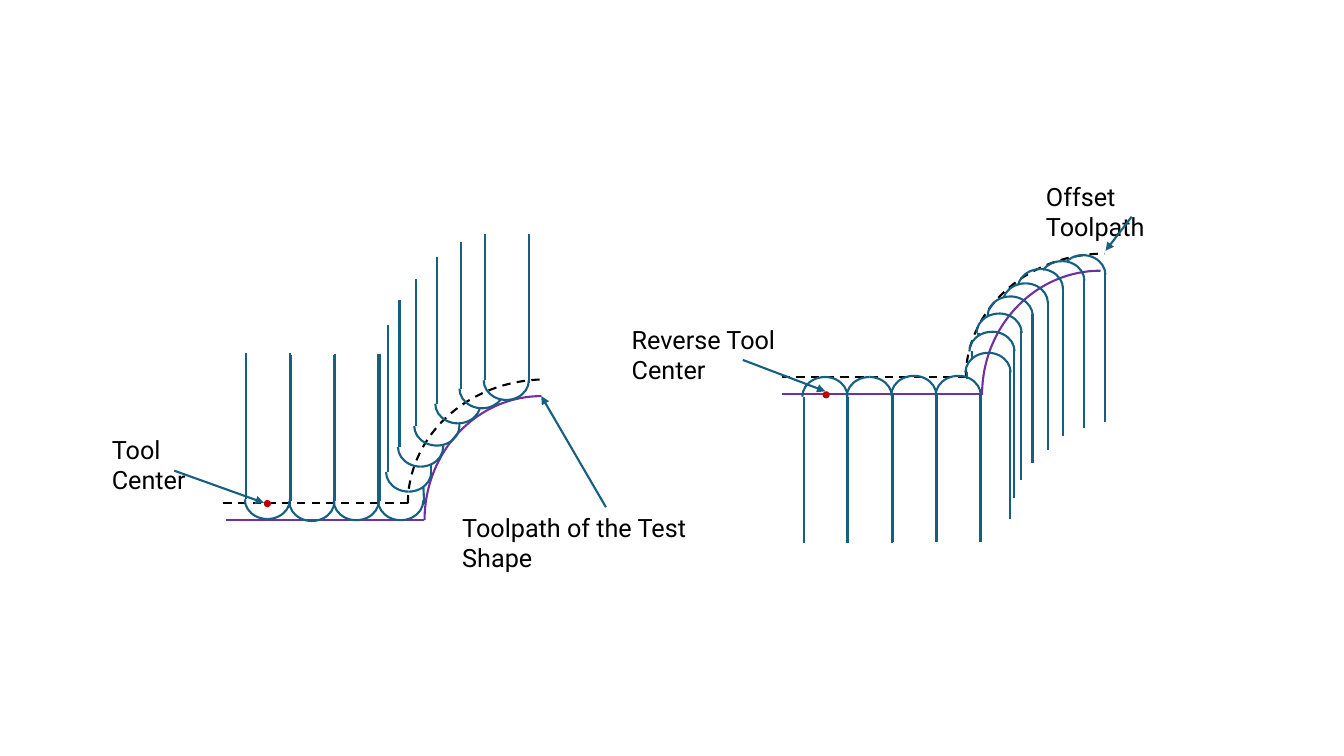
from lxml.etree import SubElement
from pptx import Presentation
from pptx.dml.color import RGBColor
from pptx.enum.dml import MSO_LINE
from pptx.enum.shapes import MSO_CONNECTOR, MSO_SHAPE
from pptx.enum.text import MSO_AUTO_SIZE
from pptx.oxml.ns import qn
from pptx.util import Cm, Pt

BLACK, PURPLE, TEAL, RED = "000000", "7030A0", "156082", "C00000"
TIP_WIDTH, TIP_HEIGHT = 1.14, 0.99
PITCH = 1.12  # spacing of cutters along the flat


def color(value):
    return RGBColor.from_string(value)


class Diagram:
    """Holds the line and text style, the slide and the group being drawn."""

    font_name, font_size, line_width = "Roboto", Pt(18), Pt(1.5)

    def __init__(self, slide):
        self.slide = slide
        self.shapes = slide.shapes

    def start_group(self):
        self.shapes = self.slide.shapes.add_group_shape().shapes

    def style_line(self, line, stroke, dashed=False):
        line.color.rgb = color(stroke)
        line.width = self.line_width
        if dashed:
            line.dash_style = MSO_LINE.DASH

    def line(self, x1, y1, x2, y2, stroke=TEAL, dashed=False, arrow=False):
        connector = self.shapes.add_connector(
            MSO_CONNECTOR.STRAIGHT, Cm(x1), Cm(y1), Cm(x2), Cm(y2))
        self.style_line(connector.line, stroke, dashed)
        properties = connector._element.spPr
        if arrow:
            SubElement(properties.find(qn("a:ln")), qn("a:tailEnd"), type="triangle")
        SubElement(properties, qn("a:effectLst"))

    def arc(self, x, y, width, height, stroke=TEAL, rotation=0, flip=False,
            dashed=False, start=None, end=None):
        shape = self.shapes.add_shape(MSO_SHAPE.ARC, Cm(x), Cm(y), Cm(width), Cm(height))
        shape.shadow.inherit = False
        shape.fill.background()
        shape.rotation = rotation
        self.style_line(shape.line, stroke, dashed)
        if flip:
            shape._element.spPr.xfrm.set("flipV", "1")
        for index, value in enumerate((start, end)):
            if value is not None:
                shape.adjustments[index] = value

    def cutter(self, x, y, shanks, upward=False, start=None, end=None):
        """Ball-nose tool: two quarter arcs and its left and/or right shank."""
        self.arc(x, y, TIP_WIDTH, TIP_HEIGHT, flip=not upward, end=end)
        inset = (TIP_WIDTH - TIP_HEIGHT) / 2
        self.arc(x + inset, y - inset, TIP_HEIGHT, TIP_WIDTH,
                 rotation=270 if upward else 90, flip=not upward, start=start)
        away = 1 if upward else -1
        center = y + TIP_HEIGHT / 2
        if "L" in shanks:
            self.line(x + 0.04, center, x + 0.04, center + away * 3.7)
        if "R" in shanks:
            self.line(x + 1.13, center - away * 0.06, x + 1.13, center + away * 3.7)

    def flat_cutters(self, x, tops, shanks, upward=False):
        for index, (top, sides) in enumerate(zip(tops, shanks)):
            self.cutter(x + index * PITCH, top, sides, upward)

    def center_dot(self, x, y):
        shape = self.shapes.add_shape(MSO_SHAPE.OVAL, Cm(x), Cm(y), Cm(0.18), Cm(0.18))
        shape.shadow.inherit = False
        shape.fill.solid()
        shape.fill.fore_color.rgb = color(RED)
        shape.line.fill.background()

    def label(self, text, x, y, width):
        frame = self.shapes.add_textbox(Cm(x), Cm(y), Cm(width), Cm(1.02)).text_frame
        frame.word_wrap = True
        frame.auto_size = MSO_AUTO_SIZE.SHAPE_TO_FIT_TEXT
        paragraph = frame.paragraphs[0]
        paragraph.text = text
        paragraph.font.name = self.font_name
        paragraph.font.size = self.font_size
        paragraph.font.color.rgb = color(BLACK)


def draw_tool_diagram(diagram):
    diagram.start_group()
    # Toolpath and tool-center path
    diagram.arc(10.62, 9.22, 6.25, 6.93, BLACK, 270, dashed=True)
    diagram.arc(10.52, 10.16, 6.25, 5.89, PURPLE, 270)
    diagram.line(10.69, 13.11, 5.69, 13.11, PURPLE)
    diagram.line(10.29, 12.67, 5.59, 12.67, BLACK, dashed=True)
    # Cutters along the curve, then along the flat
    for x, y, shanks, end in (
            (11.58, 9.3, "L", 199.21), (10.03, 10.77, "L", None),
            (10.44, 10.24, "L", 3.08), (10.97, 9.68, "L", 209.89),
            (9.73, 11.4, "L", None), (12.19, 9.09, "LR", None)):
        diagram.cutter(x, y, shanks, end=end)
    diagram.flat_cutters(6.17, (12.09, 12.14, 12.12, 12.12), ("LR", "LR", "LR", "L"))
    # Short visible pieces of right shanks
    for piece in ((10.69, 12.7, 10.67, 12.27), (10.87, 12.07, 10.87, 11.71),
                  (11.15, 11.28, 11.18, 11.23)):
        diagram.line(*piece)
    # Labels
    diagram.center_dot(6.65, 12.6)
    diagram.label("Toolpath of the Test Shape", 11.4, 12.78, 7.72)
    diagram.label("Tool Center", 2.57, 10.82, 3.66)
    diagram.line(4.39, 11.86, 6.65, 12.67, arrow=True)
    diagram.line(15.27, 12.78, 13.64, 9.98, arrow=True)


def draw_reverse_diagram(diagram):
    diagram.start_group()
    # Toolpath and offset toolpath
    diagram.arc(24.71, 6.02, 6.25, 6.99, BLACK, 270, dashed=True)
    diagram.arc(24.61, 6.96, 6.25, 5.97, PURPLE, 270)
    diagram.line(24.77, 9.93, 19.71, 9.93, PURPLE)
    diagram.line(24.36, 9.5, 19.61, 9.5, BLACK, dashed=True)
    # Reversed cutters along the flat, then along the curve
    diagram.flat_cutters(20.22, (9.5, 9.5, 9.47, 9.47), ["LR"] * 4, upward=True)
    for x, y, start in (
            (24.33, 8.89, None), (24.43, 8.36, None), (24.61, 7.9, None),
            (24.89, 7.47, None), (25.27, 7.14, 170.84), (25.65, 6.78, 167.53),
            (26.19, 6.58, 179.89), (26.72, 6.43, 186.96)):
        diagram.cutter(x, y, "R", upward=True, start=start)
    # Short visible pieces of left shanks
    for x, top, bottom in ((24.66, 8.38, 8.46), (24.49, 8.84, 9.07), (24.36, 9.37, 9.55)):
        diagram.line(x, top, x, bottom)
    # Labels
    diagram.center_dot(20.73, 9.86)
    diagram.label("Offset Toolpath", 26.11, 4.45, 4.8)
    diagram.label("Reverse Tool Center", 15.67, 8.05, 6.05)
    diagram.line(18.72, 9.07, 20.8, 9.86, arrow=True)
    diagram.line(28.52, 5.46, 27.86, 6.32, arrow=True)


def main():
    presentation = Presentation()
    presentation.slide_width, presentation.slide_height = Cm(33.87), Cm(19.05)
    slide = presentation.slides.add_slide(presentation.slide_layouts[6])
    diagram = Diagram(slide)
    draw_tool_diagram(diagram)
    draw_reverse_diagram(diagram)
    presentation.save("out.pptx")


if __name__ == "__main__":
    main()
